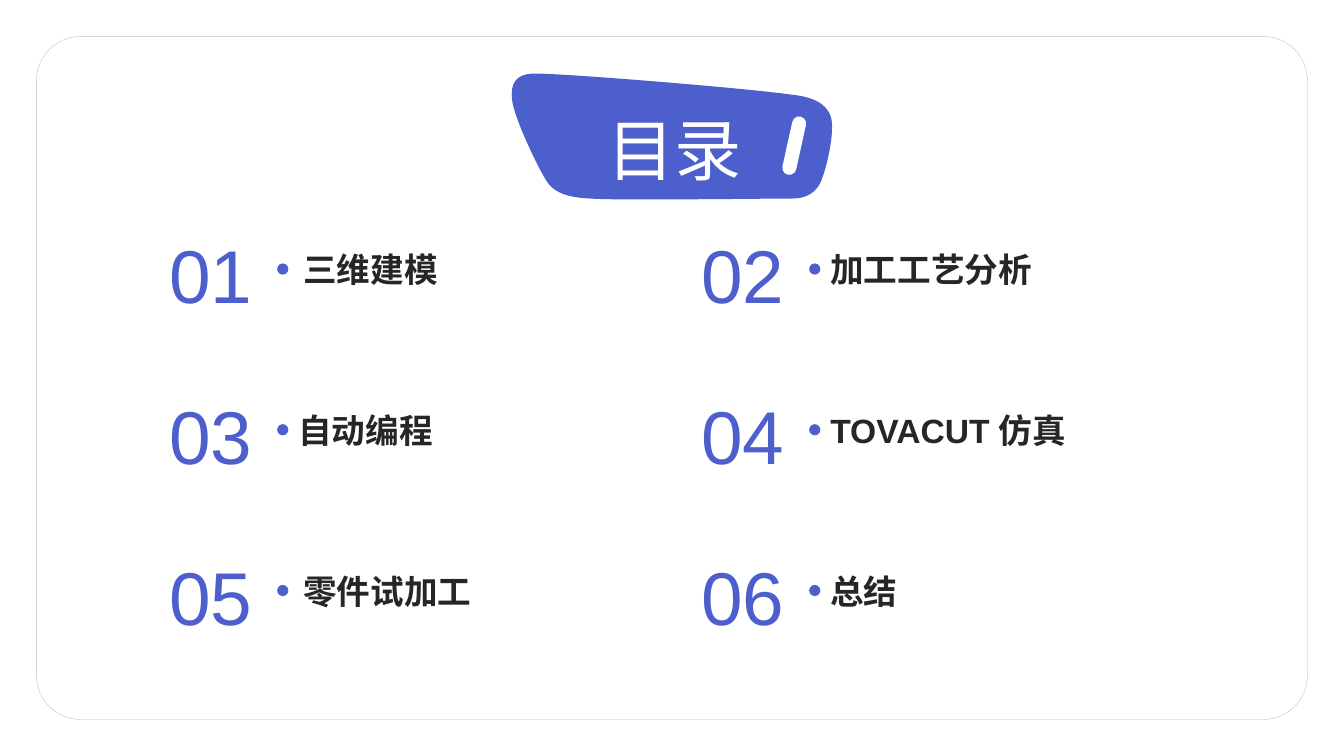
from pptx import Presentation
from pptx.dml.color import RGBColor
from pptx.enum.shapes import MSO_SHAPE
from pptx.enum.text import MSO_ANCHOR
from pptx.util import Pt

ROUND = MSO_SHAPE.ROUNDED_RECTANGLE
OVAL = MSO_SHAPE.OVAL
MIDDLE = MSO_ANCHOR.MIDDLE

COLORS = {"blue": "4C5FCC", "white": "FFFFFF", "ink": "262626", "edge": "BFBFBF"}
FONT = "Arial"

# Badge outline: start point, then two handles and an end for each curve
START = (365.8, 71.3)
CURVES = [
    ((367.2, 84.2), (384.5, 120.2), (390.2, 128.9)),
    ((395.3, 137.5), (405.4, 141.1), (421.2, 141.8)),
    ((437, 143.3), (550.8, 141.8), (565.9, 141.8)),
    ((580.3, 141.8), (585.4, 133.2), (587.5, 126.7)),
    ((590.4, 119.5), (596.9, 92.9), (593.3, 82.8)),
    ((589.7, 73.4), (579.6, 69.1), (565.9, 67.7)),
    ((530.6, 62.6), (393.8, 51.8), (381.6, 52.6)),
    ((369.4, 52.6), (364.3, 59), START),
]
STEPS = 16

# Topic and the offset of its box from the number's left edge
TOPICS = [
    ("三维建模", 88.5), ("加工工艺分析", 85),
    ("自动编程", 85), ("TOVACUT 仿真", 85),
    ("零件试加工", 88.5), ("总结", 85),
]
LEFT, TOP = 121, 160
COL_GAP, ROW_GAP = 380, 114.8


def trace(start, curves):
    """Return points along a chain of cubic curves."""
    points = []
    for one, two, end in curves:
        for step in range(1, STEPS + 1):
            t = step / STEPS
            u = 1 - t
            points.append(tuple(
                u**3 * a + 3 * u * u * t * b + 3 * u * t * t * c + t**3 * d
                for a, b, c, d in zip(start, one, two, end)))
        start = end
    return points


class Board:
    """Holds the slide and draws styled elements, measured in points."""

    def __init__(self, slide):
        self.shapes = slide.shapes

    def paint(self, shape, fill, line=None):
        shape.shadow.inherit = False
        shape.fill.solid()
        shape.fill.fore_color.rgb = RGBColor.from_string(COLORS[fill])
        if line:
            shape.line.color.rgb = RGBColor.from_string(COLORS[line])
            shape.line.width = Pt(0.25)
        else:
            shape.line.fill.background()

    def shape(self, kind, x, y, w, h, fill, line=None, round_by=None, turn=0):
        shape = self.shapes.add_shape(kind, Pt(x), Pt(y), Pt(w), Pt(h))
        if round_by is not None:
            shape.adjustments[0] = round_by
        shape.rotation = turn
        self.paint(shape, fill, line)

    def outline(self, start, curves, fill):
        pen = self.shapes.build_freeform(Pt(start[0]), Pt(start[1]))
        pen.add_line_segments([(Pt(x), Pt(y)) for x, y in trace(start, curves)])
        self.paint(pen.convert_to_shape(), fill)

    def text(self, words, x, y, w, h, size, color, bold=False, inset=True):
        box = self.shapes.add_textbox(Pt(x), Pt(y), Pt(w), Pt(h))
        frame = box.text_frame
        frame.word_wrap = True
        frame.vertical_anchor = MIDDLE
        if not inset:
            frame.margin_left = frame.margin_right = 0
            frame.margin_top = frame.margin_bottom = 0
        para = frame.paragraphs[0]
        para.text = words
        para.font.name = FONT
        para.font.size = Pt(size)
        para.font.bold = bold
        para.font.color.rgb = RGBColor.from_string(COLORS[color])
        return para

    def topic(self, number, words, shift, x, y):
        label = self.text(f"{number:02}", x, y, 72, 65, 53.4, "blue", inset=False)
        label.line_spacing = 1.1
        self.text(words, x + shift, y + 14.3, 231, 36, 24, "ink", bold=True)
        self.shape(OVAL, x + 77, y + 28.2, 8, 8, "blue")


def main():
    deck = Presentation()
    deck.slide_width, deck.slide_height = Pt(960), Pt(540)
    board = Board(deck.slides.add_slide(deck.slide_layouts[6]))

    board.shape(ROUND, 26, 26, 908, 488, "white", line="edge", round_by=0.065)
    board.outline(START, CURVES, "blue")
    board.shape(ROUND, 562.3, 82.8, 10, 42.5, "white", round_by=0.5, turn=12.5)
    board.text("目录", 427, 73.4, 110.2, 65.5, 48, "white")

    for index, (words, shift) in enumerate(TOPICS):
        row, col = divmod(index, 2)
        board.topic(index + 1, words, shift,
                    LEFT + col * COL_GAP, TOP + row * ROW_GAP)

    deck.save("out.pptx")


if __name__ == "__main__":
    main()
